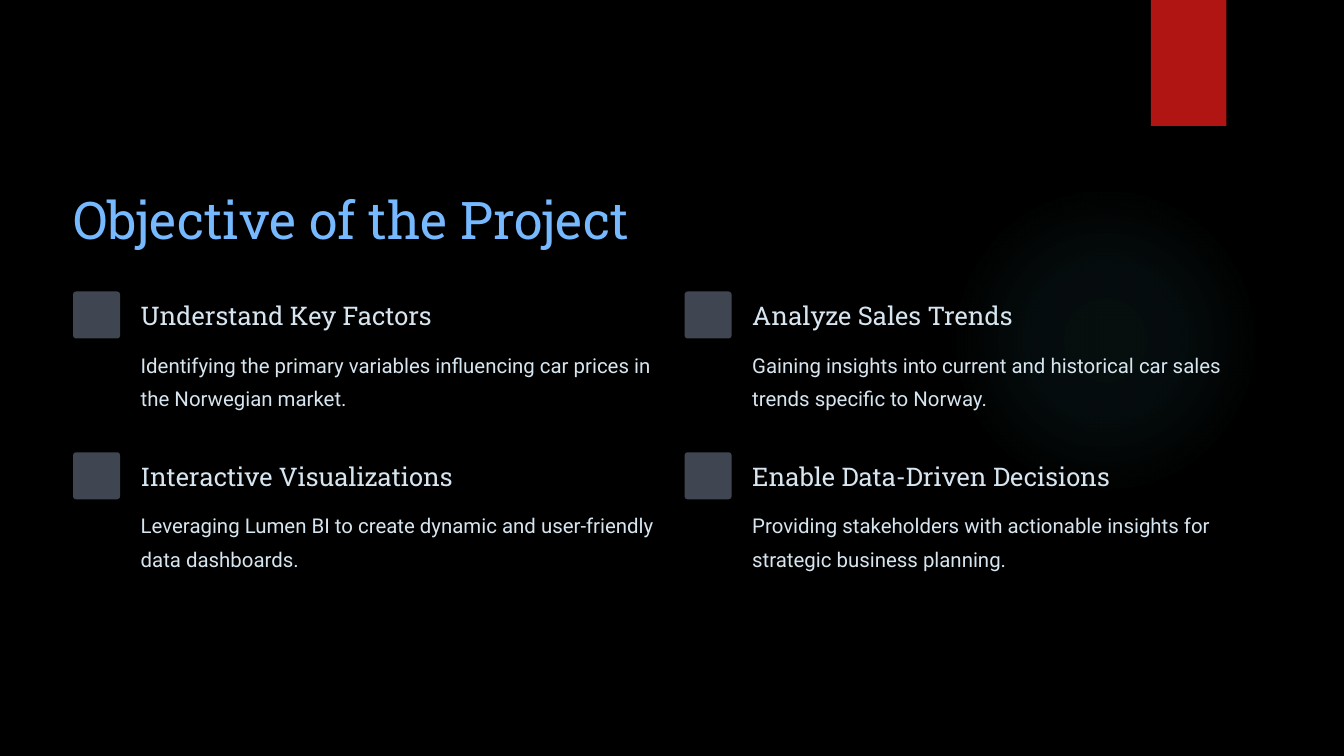
from dataclasses import dataclass

from lxml.etree import fromstring
from pptx import Presentation
from pptx.dml.color import RGBColor
from pptx.enum.shapes import MSO_SHAPE as Preset
from pptx.enum.text import MSO_ANCHOR as Anchor, MSO_AUTO_SIZE as AutoSize
from pptx.oxml.ns import nsdecls
from pptx.util import Inches, Pt

TITLE = "Objective of the Project"
OBJECTIVES = [
    ("Understand Key Factors",
     "Identifying the primary variables influencing car prices in the Norwegian market."),
    ("Analyze Sales Trends",
     "Gaining insights into current and historical car sales trends specific to Norway."),
    ("Interactive Visualizations",
     "Leveraging Lumen BI to create dynamic and user-friendly data dashboards."),
    ("Enable Data-Driven Decisions",
     "Providing stakeholders with actionable insights for strategic business planning."),
]
GLOW_STOPS = [(0, 7), (36, 6), (69, 0)]


@dataclass(frozen=True)
class TextStyle:
    font: str
    size: float
    line: float
    color: str


@dataclass(frozen=True)
class Theme:
    background: str = "000000"
    ribbon: str = "B01513"
    marker: str = "3F4652"
    glow: str = "50B9C1"
    title: TextStyle = TextStyle("Roboto Slab", 44.5, 55.5, "76B9FF")
    heading: TextStyle = TextStyle("Roboto Slab", 22, 27.5, "D6E5EF")
    body: TextStyle = TextStyle("Roboto", 17.5, 28.5, "D6E5EF")


THEME = Theme()
COLUMNS = 2
LEFT, TOP = 0.87, 3.47
COLUMN_STEP, ROW_STEP = 7.28, 1.915
MARKER_SIZE = 0.56
TEXT_INDENT, HEADING_DROP, BODY_DROP = 0.805, 0.09, 0.625


def add_block(slide, preset, box, color):
    shape = slide.shapes.add_shape(preset, *map(Inches, box))
    shape.shadow.inherit = False
    shape.line.fill.background()
    shape.fill.solid()
    shape.fill.fore_color.rgb = RGBColor.from_string(color)
    return shape


def add_text(slide, text, box, style, wrap=False):
    frame = slide.shapes.add_textbox(*map(Inches, box)).text_frame
    frame.margin_left = frame.margin_top = frame.margin_right = frame.margin_bottom = 0
    frame.word_wrap = wrap
    frame.auto_size = AutoSize.NONE
    frame.vertical_anchor = Anchor.TOP
    paragraph = frame.paragraphs[0]
    paragraph.line_spacing = Pt(style.line)
    run = paragraph.add_run()
    run.text = text
    run.font.name = style.font
    run.font.size = Pt(style.size)
    run.font.color.rgb = RGBColor.from_string(style.color)


def add_glow(slide):
    shape = add_block(slide, Preset.OVAL, (11.3, 2.2, 3.7, 3.7), THEME.glow)
    stops = "".join(
        f'<a:gs pos="{position * 1000}"><a:srgbClr val="{THEME.glow}">'
        f'<a:alpha val="{alpha * 1000}"/></a:srgbClr></a:gs>'
        for position, alpha in GLOW_STOPS
    )
    gradient = fromstring(
        f'<a:gradFill {nsdecls("a")} rotWithShape="1"><a:gsLst>{stops}</a:gsLst>'
        '<a:path path="circle"><a:fillToRect l="50000" t="50000" r="50000" b="50000"/>'
        '</a:path></a:gradFill>'
    )
    properties = shape.element.spPr
    properties.replace(properties.find("{*}solidFill"), gradient)


def add_objective(slide, index, heading, body):
    row, column = divmod(index, COLUMNS)
    left = LEFT + column * COLUMN_STEP
    top = TOP + row * ROW_STEP
    marker = add_block(slide, Preset.ROUNDED_RECTANGLE,
                       (left, top, MARKER_SIZE, MARKER_SIZE), THEME.marker)
    marker.adjustments[0] = 0.067
    text_left = left + TEXT_INDENT
    add_text(slide, heading, (text_left, top + HEADING_DROP, 4.32, 0.39), THEME.heading)
    add_text(slide, body, (text_left, top + BODY_DROP, 6.17, 0.79), THEME.body, wrap=True)


def main():
    presentation = Presentation()
    presentation.slide_width, presentation.slide_height = Inches(16), Inches(9)
    slide = presentation.slides.add_slide(presentation.slide_layouts[6])
    background = slide.background.fill
    background.solid()
    background.fore_color.rgb = RGBColor.from_string(THEME.background)
    add_glow(slide)
    add_block(slide, Preset.RECTANGLE, (13.7, 0, 0.9, 1.5), THEME.ribbon)
    add_text(slide, TITLE, (LEFT, 2.2, 6.65, 0.78), THEME.title)
    for index, (heading, body) in enumerate(OBJECTIVES):
        add_objective(slide, index, heading, body)
    presentation.save("out.pptx")


if __name__ == "__main__":
    main()
